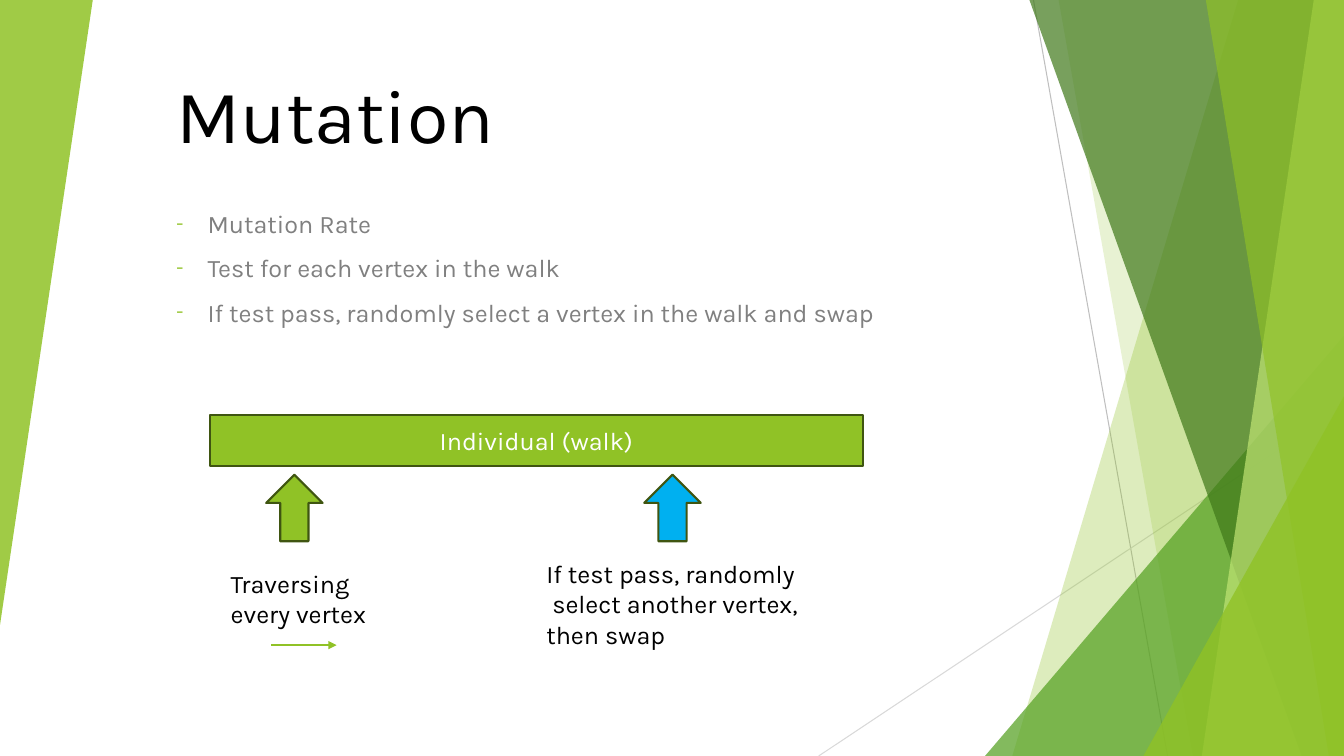
from pptx import Presentation
from pptx.dml.color import RGBColor
from pptx.enum.shapes import MSO_CONNECTOR, MSO_SHAPE
from pptx.enum.text import MSO_ANCHOR, MSO_AUTO_SIZE, PP_ALIGN
from pptx.oxml.ns import qn
from pptx.util import Inches, Pt
from lxml import etree

LINE = MSO_CONNECTOR.STRAIGHT
RECT = MSO_SHAPE.RECTANGLE
ARROW = MSO_SHAPE.UP_ARROW
WEDGE = MSO_SHAPE.ISOSCELES_TRIANGLE
TOP, MIDDLE, BOTTOM = MSO_ANCHOR.TOP, MSO_ANCHOR.MIDDLE, MSO_ANCHOR.BOTTOM
LEFT, CENTER = PP_ALIGN.LEFT, PP_ALIGN.CENTER
NONE, GROW = MSO_AUTO_SIZE.NONE, MSO_AUTO_SIZE.SHAPE_TO_FIT_TEXT
WIDE, HIGH = 13.33, 7.5
GREEN, DARK, BLUE = "90C226", "3F5511", "00B0F0"
BLACK, GRAY, WHITE = "000000", "808080", "FFFFFF"


def color(code):
    return RGBColor.from_string(code)


def add_tag(parent, name, **attrs):
    return etree.SubElement(parent, qn(name), attrs)


def paint(shape, fill, edge=None, alpha=100):
    shape.shadow.inherit = False
    shape.fill.solid()
    shape.fill.fore_color.rgb = color(fill)
    if alpha < 100:
        tint = shape.fill._xPr.find(qn("a:solidFill"))[0]
        add_tag(tint, "a:alpha", val=str(alpha * 1000))
    if edge:
        shape.line.color.rgb = color(edge)
        shape.line.width = Pt(1.5)
    else:
        shape.line.fill.background()


def add_form(slide, kind, box, fill, edge=None, alpha=100):
    shape = slide.shapes.add_shape(kind, *map(Inches, box))
    paint(shape, fill, edge, alpha)
    return shape


def add_line(slide, start, end, code, width):
    line = slide.shapes.add_connector(LINE, *map(Inches, start + end))
    line.line.color.rgb = color(code)
    line.line.width = Pt(width)
    add_tag(line._element.spPr, "a:effectLst")
    return line


def write(shape, text, size, code, align=LEFT, anchor=TOP):
    frame = shape.text_frame
    frame.text = text
    frame.vertical_anchor = anchor
    for para in frame.paragraphs:
        para.alignment = align
        for run in para.runs:
            run.font.name = "Karla"
            run.font.size = Pt(size)
            run.font.color.rgb = color(code)
    return frame


def add_text(slide, box, text, code, wrap=True, fit=GROW):
    shape = slide.shapes.add_textbox(*map(Inches, box))
    frame = write(shape, text, 18, code)
    frame.word_wrap = wrap
    frame.auto_size = fit
    return frame


def add_wedge(slide, width, height, fill, alpha):
    box = (WIDE - width, HIGH - height, width, height)
    shape = add_form(slide, WEDGE, box, fill, alpha=alpha)
    shape.adjustments[0] = 1


def add_blade(slide, top, foot, fill, alpha):
    pen = slide.shapes.build_freeform(Inches(top), 0)
    spots = [(WIDE, 0), (WIDE, HIGH), (foot, HIGH)]
    pen.add_line_segments([(Inches(x), Inches(y)) for x, y in spots])
    paint(pen.convert_to_shape(), fill, alpha=alpha)


def add_decor(slide):
    add_line(slide, (10.25, 0), (11.58, HIGH), "BFBFBF", 0.75)
    add_line(slide, (WIDE, 4.03), (8.12, HIGH), "D9D9D9", 0.75)
    add_blade(slide, 12.28, 10.04, GREEN, 30)
    add_blade(slide, 10.5, 11.83, GREEN, 20)
    add_wedge(slide, 3.56, 4.17, "54A021", 72)
    add_blade(slide, 10.21, 12.91, "3F7819", 70)
    add_blade(slide, 13.03, 11.92, "C0E474", 70)
    add_blade(slide, 11.96, 13.18, GREEN, 65)
    add_wedge(slide, 1.99, 3.57, GREEN, 80)
    side = add_form(slide, WEDGE, (0, 0, 0.92, 6.2), GREEN, alpha=85)
    side.adjustments[0] = 1
    side.rotation = 180


def add_title(slide, box, text):
    title = slide.shapes.title
    title.left, title.top, title.width, title.height = map(Inches, box)
    frame = write(title, text, 54, BLACK, anchor=BOTTOM)
    frame.auto_size = NONE
    tree = slide.shapes._spTree
    tree.remove(title._element)
    tree.append(title._element)


def add_list(slide, box, items):
    frame = add_text(slide, box, "\n".join(items), GRAY, fit=NONE)
    for index, para in enumerate(frame.paragraphs):
        props = para._p.get_or_add_pPr()
        props.set("marL", str(Inches(0.31)))
        props.set("indent", str(Inches(-0.31)))
        para.space_before = Pt(10 if index else 0)
        tint = add_tag(props, "a:buClr")
        add_tag(tint, "a:srgbClr", val=GREEN)
        add_tag(props, "a:buSzPct", val="80000")
        add_tag(props, "a:buFont", typeface="Karla")
        add_tag(props, "a:buChar", char="-")


def add_walk(slide, box):
    left, top, width, height = box
    bar = add_form(slide, RECT, box, GREEN, DARK)
    write(bar, "Individual (walk)", 18, WHITE, CENTER, MIDDLE)
    for shift, fill in ((0.56, GREEN), (4.31, BLUE)):
        spot = (left + shift, top + height + 0.09, 0.56, 0.66)
        add_form(slide, ARROW, spot, fill, DARK)
    add_text(slide, (left + 0.11, top + 1.47, 1.66, 0.71),
             "Traversing every vertex", BLACK)
    low = top + 2.28
    step = add_line(slide, (left + 0.61, low), (left + 1.26, low), GREEN, 1)
    add_tag(step.line._get_or_add_ln(), "a:tailEnd", type="triangle")
    add_text(slide, (left + 3.24, top + 1.37, 2.88, 1.01),
             "If test pass, randomly\n select another vertex,\nthen swap",
             BLACK, wrap=False)


def main():
    deck = Presentation()
    deck.slide_width, deck.slide_height = Inches(WIDE), Inches(HIGH)
    slide = deck.slides.add_slide(deck.slide_layouts[5])
    add_decor(slide)
    add_title(slide, (1.65, 0.57, 8.49, 1.05), "Mutation")
    add_list(slide, (1.65, 2.02, 8.49, 4.7), [
        "Mutation Rate",
        "Test for each vertex in the walk",
        "If test pass, randomly select a vertex in the walk and swap",
    ])
    add_walk(slide, (2.08, 4.12, 6.48, 0.5))
    deck.save("out.pptx")


if __name__ == "__main__":
    main()
